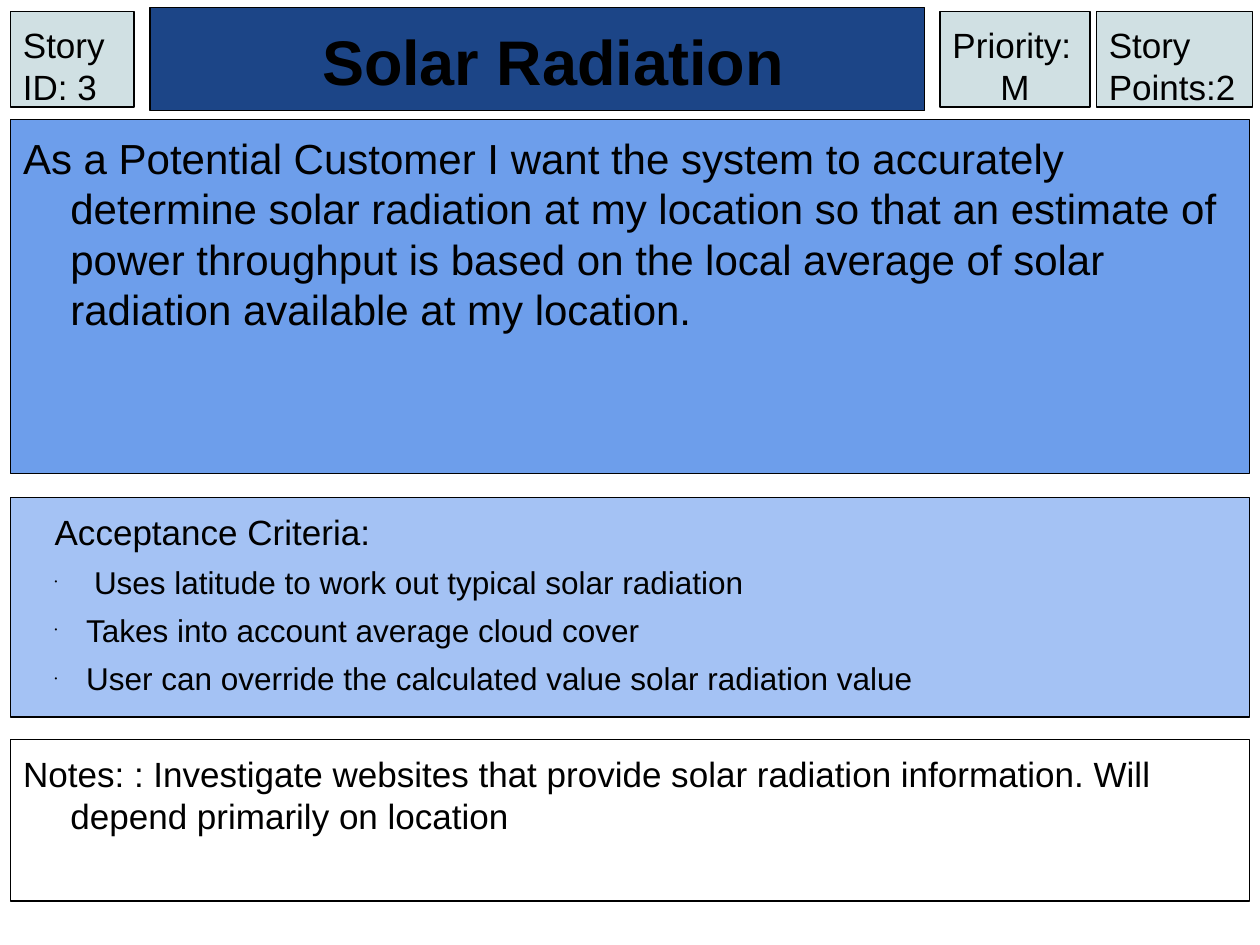
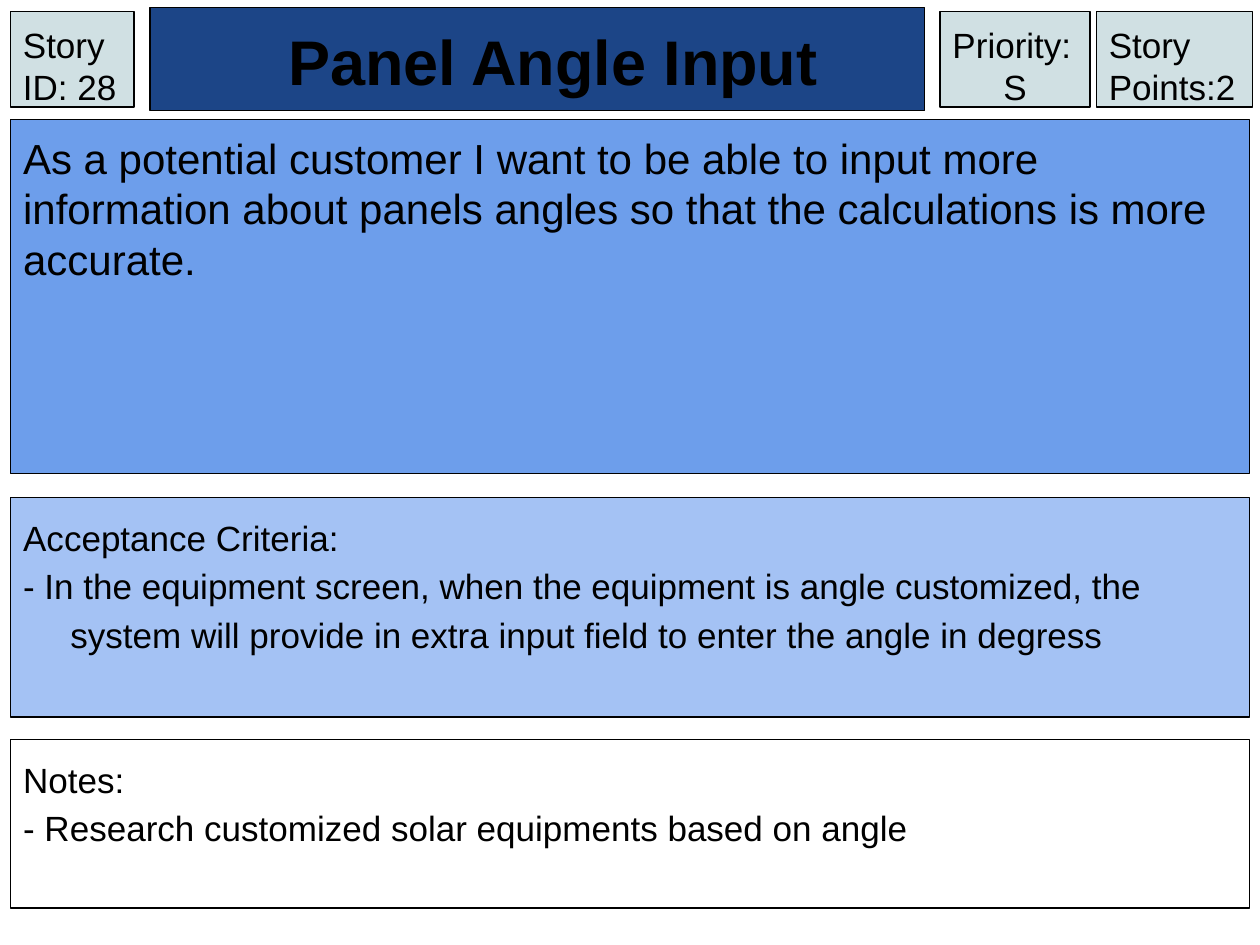
from dataclasses import dataclass

from lxml.etree import SubElement
from pptx import Presentation
from pptx.dml.color import RGBColor
from pptx.enum.shapes import MSO_SHAPE
from pptx.enum.text import MSO_ANCHOR, MSO_AUTO_SIZE, PP_ALIGN
from pptx.oxml.ns import qn
from pptx.util import Pt

COLORS = {
    "ink": "000000",
    "title": "1C4587",
    "story": "6D9EEB",
    "criteria": "A4C2F4",
    "tag": "D0E0E3",
}
FONT = "Arial"
INSET = Pt(7.2)
COMPARISON_LAYOUT = 4


@dataclass(frozen=True)
class Box:
    left: float
    top: float
    width: float
    height: float
    fill: str | None = None


@dataclass(frozen=True)
class Para:
    text: str
    size: float = 20
    left: float = 0
    indent: float = 0
    before: float = 0
    spacing: float = 1.0
    align: PP_ALIGN = PP_ALIGN.LEFT
    bullet: bool = False
    bold: bool = False


@dataclass(frozen=True)
class StoryCard:
    story_id: int
    title: str
    priority: str
    points: int
    story: Para
    criteria: list[Para]
    remarks: list[Para]
    remarks_height: float


TITLE_BOX = Box(85.7, 4.3, 442.8, 59, "title")
STORY_BOX = Box(6, 68.4, 708, 202.4, "story")
CRITERIA_BOX = Box(6, 284.4, 708, 125.3, "criteria")
ID_TAG = Box(6, 6.5, 70.6, 54.7, "tag")
PRIORITY_TAG = Box(537.2, 6.5, 85.7, 54.7, "tag")
POINTS_TAG = Box(626.5, 6.5, 89.3, 54.7, "tag")


def hanging(text: str, size: float = 20, spacing: float = 1.0) -> Para:
    return Para(text, size, left=27, indent=-27, spacing=spacing)


def bullet(text: str, left: float = 36, indent: float = -18) -> Para:
    return Para(text, 18, left, indent, before=6, bullet=True)


CARDS = [
    StoryCard(
        3, "Solar Radiation", "M", 2,
        hanging("As a Potential Customer I want the system to accurately determine "
                "solar radiation at my location so that an estimate of power throughput "
                "is based on the local average of solar radiation available at my "
                "location.", 24),
        [
            Para("Acceptance Criteria:", left=18),
            bullet("Uses latitude to work out typical solar radiation", 40.5, -22.5),
            bullet("Takes into account average cloud cover"),
            bullet("User can override the calculated value solar radiation value"),
        ],
        [hanging("Notes: : Investigate websites that provide solar radiation "
                 "information. Will depend primarily on location")],
        92.2,
    ),
    StoryCard(
        28, "Panel Angle Input", "S", 2,
        Para("As a potential customer I want to be able to input more information "
             "about panels angles so that the calculations is more accurate.", 24),
        [
            hanging("Acceptance Criteria:", spacing=1.15),
            hanging("- In the equipment screen, when the equipment is angle customized, "
                    "the system will provide in extra input field to enter the angle "
                    "in degress", spacing=1.15),
        ],
        [
            hanging("Notes:", spacing=1.15),
            hanging("- Research customized solar equipments based on angle", spacing=1.15),
        ],
        96.2,
    ),
]


def rgb(name: str) -> RGBColor:
    return RGBColor.from_string(COLORS[name])


def set_bullet(p, visible: bool) -> None:
    pPr = p._p.get_or_add_pPr()
    if not visible:
        SubElement(pPr, qn("a:buNone"))
        return
    color = SubElement(pPr, qn("a:buClr"))
    SubElement(color, qn("a:srgbClr"), val=COLORS["ink"])
    SubElement(pPr, qn("a:buSzPct"), val="25000")
    SubElement(pPr, qn("a:buFont"), typeface=FONT)
    SubElement(pPr, qn("a:buChar"), char="•")


def write_para(p, para: Para) -> None:
    p.text = para.text
    p.alignment = para.align
    p.line_spacing = para.spacing
    p.space_before = Pt(para.before)
    p.space_after = Pt(0)
    pPr = p._p.get_or_add_pPr()
    pPr.set("marL", str(Pt(para.left)))
    pPr.set("indent", str(Pt(para.indent)))
    set_bullet(p, para.bullet)
    for r in p.runs:
        r.font.name = FONT
        r.font.size = Pt(para.size)
        r.font.bold = para.bold
        r.font.color.rgb = rgb("ink")


def fill_box(sp, box: Box, paras: list[Para], anchor=MSO_ANCHOR.TOP) -> None:
    sp.left, sp.top = Pt(box.left), Pt(box.top)
    sp.width, sp.height = Pt(box.width), Pt(box.height)
    if box.fill:
        sp.fill.solid()
        sp.fill.fore_color.rgb = rgb(box.fill)
    else:
        sp.fill.background()
    sp.line.color.rgb = rgb("ink")
    sp.line.width = Pt(0.75)
    tf = sp.text_frame
    tf.word_wrap = True
    tf.auto_size = MSO_AUTO_SIZE.NONE
    tf.vertical_anchor = anchor
    tf.margin_left = tf.margin_right = tf.margin_top = tf.margin_bottom = INSET
    for i, para in enumerate(paras):
        write_para(tf.add_paragraph() if i else tf.paragraphs[0], para)


def add_tag(s, box: Box, paras: list[Para]) -> None:
    sp = s.shapes.add_shape(MSO_SHAPE.RECTANGLE, 0, 0, 0, 0)
    sp.shadow.inherit = False
    fill_box(sp, box, paras)


def add_card(prs, card: StoryCard) -> None:
    s = prs.slides.add_slide(prs.slide_layouts[COMPARISON_LAYOUT])
    title, story, criteria, remarks, spare = s.placeholders
    spare._element.getparent().remove(spare._element)

    heading = Para(card.title, 36, indent=18, align=PP_ALIGN.CENTER, bold=True)
    fill_box(title, TITLE_BOX, [heading], MSO_ANCHOR.BOTTOM)
    fill_box(story, STORY_BOX, [card.story])
    fill_box(criteria, CRITERIA_BOX, card.criteria)
    fill_box(remarks, Box(6, 422.7, 708, card.remarks_height), card.remarks)

    add_tag(s, POINTS_TAG, [Para(f"Story Points:{card.points}")])
    add_tag(s, PRIORITY_TAG,
            [Para("Priority:"), Para(card.priority, align=PP_ALIGN.CENTER)])
    add_tag(s, ID_TAG, [Para(f"Story ID: {card.story_id}")])


def main() -> None:
    prs = Presentation()
    prs.slide_width, prs.slide_height = Pt(720), Pt(540)
    for card in CARDS:
        add_card(prs, card)
    prs.save("out.pptx")


if __name__ == "__main__":
    main()
